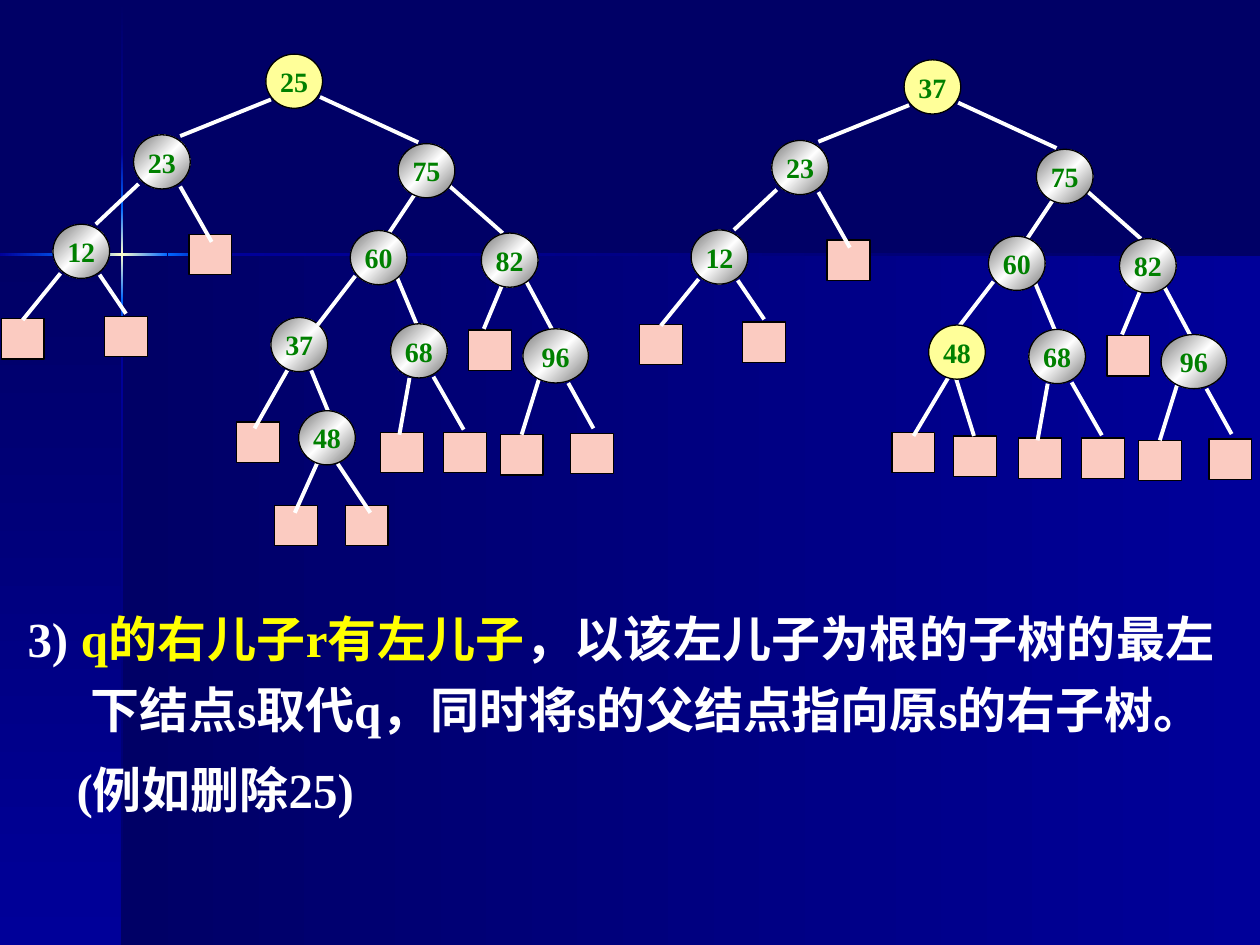
import copy
import dataclasses

import lxml.etree
import pptx
import pptx.dml.color
import pptx.enum.shapes
import pptx.enum.text
import pptx.oxml.ns
import pptx.util

SHAPE = pptx.enum.shapes.MSO_SHAPE
ALIGN = pptx.enum.text.PP_ALIGN
COLUMNS, ROWS = 100, 75


@dataclasses.dataclass(frozen=True)
class Theme:
    font: str = "Times New Roman"
    night: str = "000066"
    navy: str = "000099"
    glow: str = "0066FF"
    spark: str = "FFFFCC"
    white: str = "FFFFFF"
    black: str = "000000"
    silver: tuple = ("767676", "FFFFFF", "767676")
    marked: str = "FFFF99"
    leaf: str = "FBCBC1"
    key: str = "008000"
    accent: str = "FFFF00"
    key_size: int = 16
    body_size: int = 28
    outline: float = 0.75
    edge: float = 2.25


def rgb(value):
    return pptx.dml.color.RGBColor.from_string(value)


class Painter:
    """Draws on one slide; lengths are columns and rows of a 100 by 75 grid."""

    def __init__(self, deck, theme):
        self.theme = theme
        self.column = deck.slide_width / COLUMNS
        self.row = deck.slide_height / ROWS
        self.slide = deck.slides.add_slide(deck.slide_layouts[6])
        self.slide.background.fill.solid()
        self.slide.background.fill.fore_color.rgb = rgb(theme.night)

    def place(self, x, y):
        return round(x * self.column), round(y * self.row)

    def shape(self, kind, x, y, width, height, fill, angle=0, outlined=True):
        """A tuple as fill gives a gradient of evenly spaced stops."""
        shape = self.slide.shapes.add_shape(
            kind, *self.place(x, y), *self.place(width, height))
        shape.shadow.inherit = False
        if isinstance(fill, tuple):
            self.gradient(shape, fill, angle)
        else:
            shape.fill.solid()
            shape.fill.fore_color.rgb = rgb(fill)
        if outlined:
            shape.line.color.rgb = rgb(self.theme.black)
            shape.line.width = pptx.util.Pt(self.theme.outline)
        else:
            shape.line.fill.background()
        return shape

    def gradient(self, shape, colors, angle):
        shape.fill.gradient()
        shape.fill.gradient_angle = -angle % 360
        stops = shape.element.spPr.find(".//" + pptx.oxml.ns.qn("a:gsLst"))
        while len(stops) < len(colors):
            stops.append(copy.deepcopy(stops[0]))
        for index, stop in enumerate(shape.fill.gradient_stops):
            stop.position = index / (len(colors) - 1)
            stop.color.rgb = rgb(colors[index])

    def band(self, x, y, width, height, colors, angle):
        self.shape(SHAPE.RECTANGLE, x, y, width, height, colors, angle, outlined=False)

    def leaf(self, x, y):
        self.shape(SHAPE.RECTANGLE, x, y, 3.4, 3.2, self.theme.leaf)

    def node(self, key, x, y, width=4.5, marked=False):
        fill = self.theme.marked if marked else self.theme.silver
        frame = self.shape(SHAPE.OVAL, x, y, width, 4.3, fill, 45).text_frame
        frame.margin_left = frame.margin_right = pptx.util.Inches(0.02)
        frame.margin_top = frame.margin_bottom = pptx.util.Inches(0.01)
        frame.vertical_anchor = pptx.enum.text.MSO_ANCHOR.MIDDLE
        frame.text = str(key)
        para = frame.paragraphs[0]
        para.alignment = ALIGN.CENTER
        self.style(para.runs[0], self.theme.key_size, self.theme.key)

    def edge(self, x1, y1, x2, y2):
        line = self.slide.shapes.add_connector(
            pptx.enum.shapes.MSO_CONNECTOR.STRAIGHT,
            *self.place(x1, y1), *self.place(x2, y2))
        line.line.color.rgb = rgb(self.theme.white)
        line.line.width = pptx.util.Pt(self.theme.edge)
        lxml.etree.SubElement(line.element.spPr, pptx.oxml.ns.qn("a:effectLst"))

    def style(self, span, size, color):
        span.font.name = self.theme.font
        span.font.size = pptx.util.Pt(size)
        span.font.bold = True
        span.font.color.rgb = rgb(color)

    def text(self, x, y, width, height, paragraphs):
        """Each paragraph is (left margin, first-line indent, [(text, color)])."""
        box = self.slide.shapes.add_textbox(
            *self.place(x, y), *self.place(width, height))
        frame = box.text_frame
        frame.word_wrap = True
        frame.auto_size = pptx.enum.text.MSO_AUTO_SIZE.SHAPE_TO_FIT_TEXT
        for index, (margin, indent, spans) in enumerate(paragraphs):
            para = frame.add_paragraph() if index else frame.paragraphs[0]
            para.alignment = ALIGN.JUSTIFY
            para.line_spacing = 1.2
            para.space_before = pptx.util.Pt(self.theme.body_size * 0.2)
            properties = para._p.get_or_add_pPr()
            properties.set("marL", str(round(margin * self.column)))
            properties.set("indent", str(round(indent * self.column)))
            for words, color in spans:
                span = para.add_run()
                span.text = words
                self.style(span, self.theme.body_size, color)

    def tree(self, dx, dy, under, leaves, edges, nodes):
        """Nodes listed in under lie behind the edges."""
        for key, x, y, *rest in under:
            self.node(key, x + dx, y + dy, *rest)
        for x, y in leaves:
            self.leaf(x + dx, y + dy)
        for x1, y1, x2, y2 in edges:
            self.edge(x1 + dx, y1 + dy, x2 + dx, y2 + dy)
        for key, x, y, *rest in nodes:
            self.node(key, x + dx, y + dy, *rest)


SHARED_LEAVES = [(15, 18.6), (37.2, 26.2), (45.3, 34.4), (8.3, 25.1),
                 (0.1, 25.3), (30.2, 34.3), (35.2, 34.3), (39.7, 34.5)]
SHARED_EDGES = [
    (25.4, 7.7, 33.2, 11.3), (21.5, 7.9, 14.3, 10.8),
    (11, 14.6, 7.6, 17.8), (14.3, 14.8, 16.8, 19.2),
    (33, 15.3, 30.8, 18.6), (35.6, 14.7, 39.9, 18.5),
    (4.8, 21.7, 1.8, 25.4), (7.9, 21.8, 10, 24.9),
    (28.2, 21.9, 25.2, 25.8), (31.5, 22, 33.3, 26.3),
    (39.9, 22.5, 38.4, 26.1), (41.8, 22.4, 44, 26.5),
    (32.5, 30, 31.7, 34.5), (34.4, 29.9, 36.8, 34.1),
    (42.8, 30, 41.4, 34.5), (45.1, 30.4, 47.1, 34),
]
SHARED_NODES = [(23, 10.6, 10.7), (75, 31.6, 11.4), (12, 4.2, 17.8),
                (60, 27.8, 18.3), (82, 38.2, 18.5), (68, 31, 25.7),
                (96, 41.5, 26.1, 5.2)]
ROOT = (21.1, 4.3, 4.5, True)


def draw_background(painter):
    theme = painter.theme
    rise = (theme.night, theme.navy)
    fall = rise[::-1]
    kindle = (theme.navy, theme.glow)
    fade = kindle[::-1]
    flare = (theme.glow, theme.spark, theme.glow)
    for band in [
        (9.7, 20.2, 90.3, 54.8, rise, 0), (0, 20.2, 9.7, 54.8, rise, 90),
        (9.6, 0.1, 0.2, 12, rise, 90), (9.6, 28.2, 0.2, 46.8, fall, 90),
        (17.7, 20.1, 82.3, 0.2, fall, 0),
        (9.6, 23.8, 0.2, 4.4, fade, 90), (9.6, 12.1, 0.2, 4.4, kindle, 90),
        (9.6, 16.5, 0.2, 7.3, flare, 90),
        (0, 20.1, 6.1, 0.2, kindle, 0), (13.3, 20.1, 4.4, 0.2, fade, 0),
        (6, 20.1, 7.3, 0.2, flare, 0),
    ]:
        painter.band(*band)


def main():
    deck = pptx.Presentation()
    deck.slide_width = pptx.util.Inches(10)
    deck.slide_height = pptx.util.Inches(7.5)
    theme = Theme()
    painter = Painter(deck, theme)
    draw_background(painter)
    painter.tree(
        0, 0, [(37, 21.5, 25.2)],
        SHARED_LEAVES + [(21.8, 40.1), (27.4, 40.1), (18.8, 33.5)],
        SHARED_EDGES + [(25.2, 36.7, 23.4, 40.7), (26.8, 36.8, 29.4, 40.7),
                        (22.8, 29.4, 20.2, 34), (24.7, 29.4, 26.4, 33.5)],
        SHARED_NODES + [(25, *ROOT), (48, 23.7, 32.6)])
    painter.text(1.2, 46.9, 96.2, 18.9, [
        (5, -5, [("3)", theme.white), (" q的右儿子r有左儿子", theme.accent),
                 ("，以该左儿子为根的子树的最左下结点s取代q，"
                  "同时将s的父结点指向原s的右子树。", theme.white)]),
        (3.9, 0, [("(例如删除25)", theme.white)]),
    ])
    painter.tree(
        50.65, 0.45, [],
        SHARED_LEAVES + [(20.15, 33.85), (25.05, 34.15)],
        SHARED_EDGES + [(25.25, 28.45, 21.85, 34.15), (25.15, 29.35, 26.65, 34.15)],
        SHARED_NODES + [(37, *ROOT), (48, 23.05, 25.35, 4.5, True)])
    deck.save("out.pptx")


if __name__ == "__main__":
    main()
